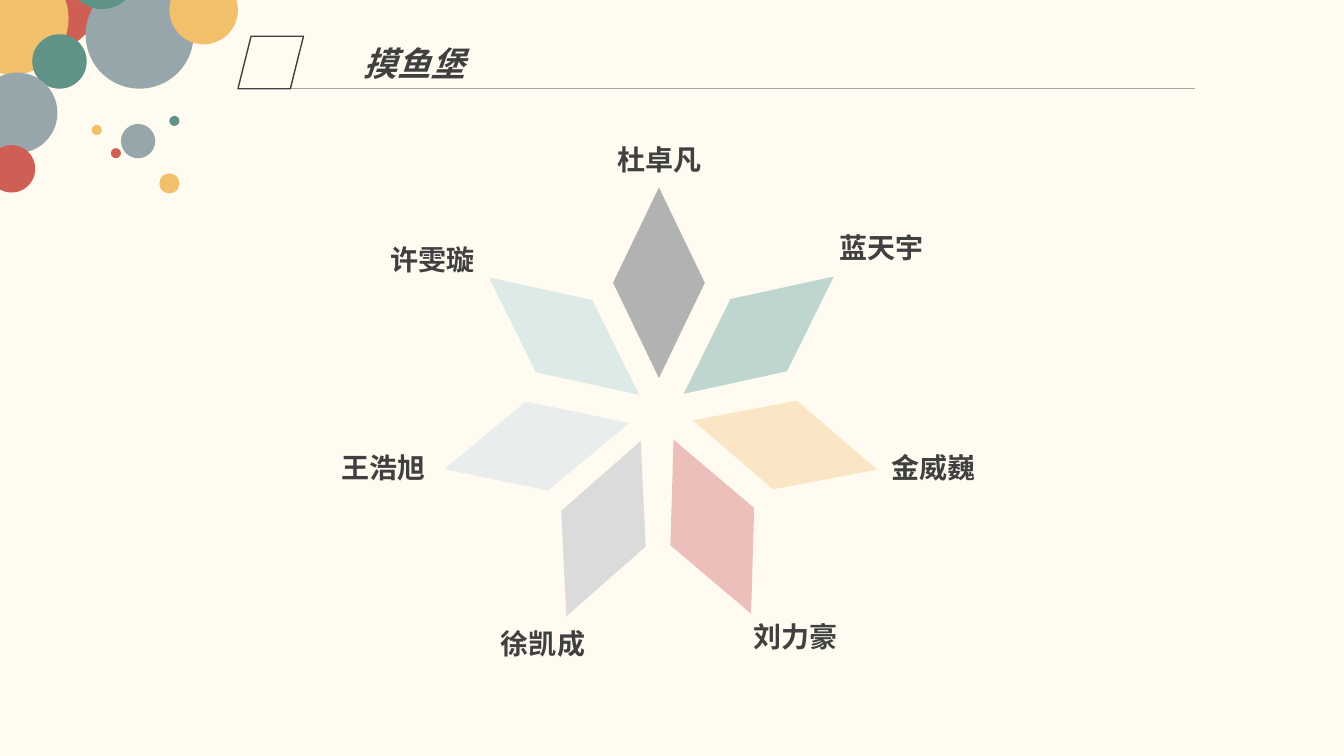
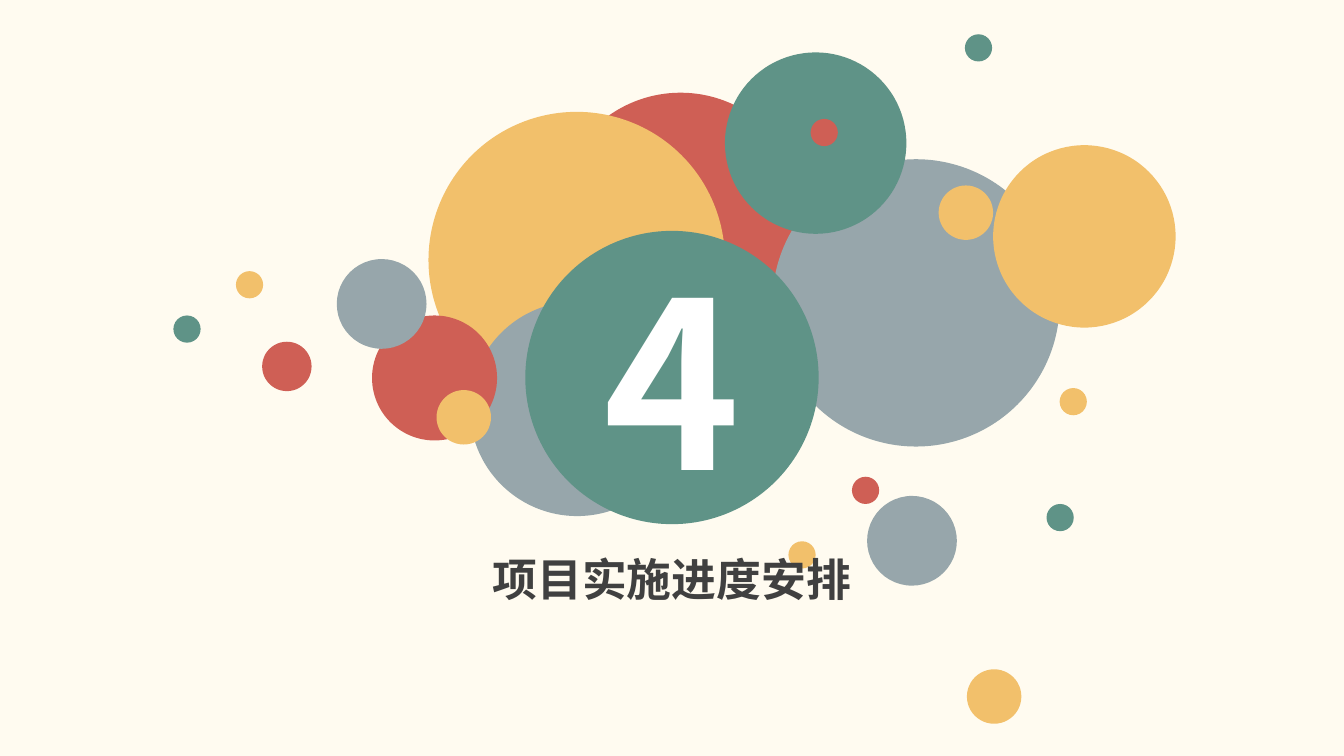
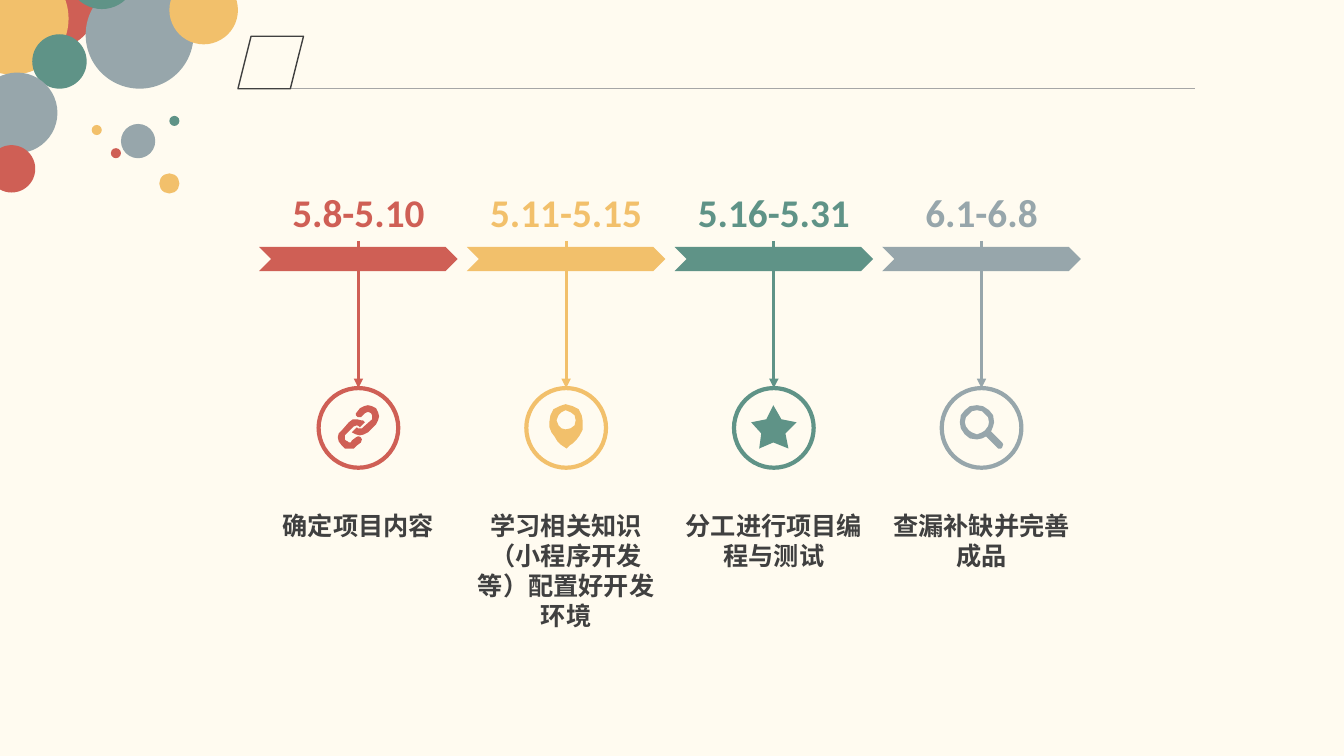
from dataclasses import dataclass
from typing import NamedTuple

from lxml.etree import SubElement
from pptx import Presentation
from pptx.dml.color import RGBColor
from pptx.enum.shapes import MSO_CONNECTOR, MSO_SHAPE
from pptx.enum.text import MSO_ANCHOR, MSO_AUTO_SIZE, PP_ALIGN
from pptx.oxml.ns import qn
from pptx.util import Inches, Pt

COLORS = {
    "cream": "FFFBF0", "ink": "404040", "rule": "A6A6A6", "white": "FFFFFF",
    "red": "CF5F55", "yellow": "F2C06B", "green": "5F9387", "gray": "97A6AB",
    "dark": "B2B2B2", "mint": "BED5D0", "sand": "FAE6C4", "pink": "ECBFBB",
    "silver": "DBDBDB", "mist": "EAEDEE", "ice": "DEEAE7",
}
BODY_FONT, HEAD_FONT = "Calibri", "Noto Sans CJK SC"
TITLE_ONLY, BLANK = 5, 6


class Circle(NamedTuple):
    left: float
    top: float
    size: float
    color: str


@dataclass
class Petal:
    left: float
    top: float
    rotation: int
    color: str
    name: str
    name_left: float
    name_top: float


@dataclass
class Step:
    dates: str
    task: str
    color: str
    icon: list  # contours, in hundredths of an inch


CORNER_CIRCLES = [
    Circle(0.04, -0.44, 0.93, "red"), Circle(-0.43, -0.37, 1.11, "yellow"),
    Circle(0.32, 0.34, 0.54, "green"), Circle(-0.23, 0.72, 0.8, "gray"),
    Circle(0.85, -0.19, 1.07, "gray"), Circle(0.67, -0.59, 0.68, "green"),
    Circle(-0.12, 1.44, 0.47, "red"), Circle(1.2, 1.23, 0.34, "gray"),
    Circle(1.1, 1.47, 0.1, "red"), Circle(0.91, 1.24, 0.1, "yellow"),
    Circle(1.68, 1.15, 0.1, "green"), Circle(1.58, 1.72, 0.2, "yellow"),
    Circle(1.68, -0.24, 0.68, "yellow"),
]

SECTION_CIRCLES = [
    Circle(5.52, 0.92, 2.46, "red"), Circle(4.25, 1.11, 2.94, "yellow"),
    Circle(4.66, 2.99, 2.13, "gray"), Circle(7.66, 1.58, 2.85, "gray"),
    Circle(7.19, 0.52, 1.8, "green"), Circle(3.69, 3.13, 1.24, "red"),
    Circle(8.6, 4.92, 0.89, "gray"), Circle(8.45, 4.73, 0.27, "red"),
    Circle(7.82, 5.37, 0.27, "yellow"), Circle(10.38, 5, 0.27, "green"),
    Circle(9.59, 6.64, 0.54, "yellow"), Circle(9.85, 1.44, 1.81, "yellow"),
    Circle(3.34, 2.57, 0.89, "gray"), Circle(2.6, 3.39, 0.49, "red"),
    Circle(2.34, 2.69, 0.27, "yellow"), Circle(1.72, 3.13, 0.27, "green"),
    Circle(4.33, 3.87, 0.54, "yellow"), Circle(8.04, 1.18, 0.27, "red"),
    Circle(10.51, 3.85, 0.27, "yellow"), Circle(9.57, 0.34, 0.27, "green"),
    Circle(9.31, 1.84, 0.54, "yellow"),
]

PETALS = [
    Petal(6.08, 1.86, 180, "dark", "杜卓凡", 6.03, 1.36),
    Petal(7.07, 2.38, 232, "mint", "蓝天宇", 8.23, 2.24),
    Petal(7.33, 3.47, 105, "sand", "金威巍", 8.74, 4.42),
    Petal(6.61, 4.28, 156, "pink", "刘力豪", 7.37, 6.1),
    Petal(5.53, 4.3, 203, "silver", "徐凯成", 4.87, 6.17),
    Petal(4.87, 3.48, 256, "mist", "王浩旭", 3.29, 4.42),
    Petal(5.14, 2.39, 128, "ice", "许雯璇", 3.77, 2.36),
]

LINK = [
    [(354, 416), (358, 417), (360, 417), (362, 419), (357, 424), (356, 423),
     (354, 422), (351, 423), (343, 431), (342, 432), (342, 436), (343, 437),
     (345, 438), (346, 439), (348, 439), (349, 437), (353, 434), (355, 433),
     (356, 433), (358, 434), (359, 436), (358, 439), (354, 442), (351, 445),
     (347, 445), (342, 445), (339, 442), (336, 438), (335, 434), (336, 430),
     (339, 427), (346, 419), (350, 416)],
    [(365, 402), (369, 403), (373, 405), (375, 409), (376, 413), (375, 417),
     (373, 421), (365, 429), (361, 431), (357, 432), (353, 431), (349, 429),
     (354, 424), (355, 425), (359, 425), (360, 424), (368, 417), (369, 416),
     (369, 412), (368, 410), (366, 409), (364, 409), (362, 410), (359, 413),
     (358, 414), (355, 414), (353, 412), (353, 410), (354, 409), (357, 405),
     (361, 403)],
]
PIN = [
    [(561, 407), (557, 409), (554, 412), (552, 417), (554, 422), (557, 425),
     (561, 426), (566, 425), (570, 422), (571, 417), (570, 412), (566, 409)],
    [(561, 401), (568, 403), (574, 406), (577, 412), (578, 418), (578, 426),
     (575, 432), (572, 436), (568, 440), (565, 442), (562, 445), (559, 443),
     (556, 441), (553, 438), (550, 433), (547, 429), (545, 424), (545, 418),
     (546, 412), (549, 406), (555, 403)],
]
STAR = [
    [(767, 402), (775, 416), (790, 419), (779, 430), (782, 445), (767, 439),
     (753, 445), (755, 430), (745, 419), (760, 416)],
]
MAGNIFIER = [
    [(969, 407), (964, 408), (961, 411), (958, 414), (957, 419), (958, 423),
     (961, 427), (964, 429), (969, 431), (974, 429), (977, 427), (980, 423),
     (981, 419), (980, 414), (977, 411), (974, 408)],
    [(969, 402), (975, 403), (981, 407), (985, 412), (986, 419), (985, 423),
     (983, 428), (994, 439), (995, 441), (994, 444), (993, 445), (990, 445),
     (989, 444), (978, 433), (974, 435), (969, 436), (962, 435), (957, 431),
     (953, 425), (952, 419), (953, 412), (957, 407), (962, 403)],
]

STEPS = [
    Step("5.8-5.10", "确定项目内容", "red", LINK),
    Step("5.11-5.15", "学习相关知识（小程序开发等）配置好开发环境", "yellow", PIN),
    Step("5.16-5.31", "分工进行项目编程与测试", "green", STAR),
    Step("6.1-6.8", "查漏补缺并完善成品", "gray", MAGNIFIER),
]


def rgb(name: str) -> RGBColor:
    return RGBColor.from_string(COLORS[name])


def place(sp, left: float, top: float, width: float, height: float) -> None:
    sp.left, sp.top = Inches(left), Inches(top)
    sp.width, sp.height = Inches(width), Inches(height)


def paint(sp, fill: str = "", line: str = "", weight: float = 1) -> None:
    sp.shadow.inherit = False
    if fill:
        sp.fill.solid()
        sp.fill.fore_color.rgb = rgb(fill)
    else:
        sp.fill.background()
    if line:
        sp.line.color.rgb = rgb(line)
        sp.line.width = Pt(weight)
    else:
        sp.line.fill.background()


def add_shape(shapes, kind, left: float, top: float, width: float, height: float,
              fill: str = "", line: str = "", weight: float = 1):
    sp = shapes.add_shape(kind, Inches(left), Inches(top), Inches(width), Inches(height))
    paint(sp, fill, line, weight)
    return sp


def add_circle(shapes, circle: Circle):
    return add_shape(shapes, MSO_SHAPE.OVAL, circle.left, circle.top,
                     circle.size, circle.size, circle.color)


def write(sp, text: str, size: float, color: str = "ink", font: str = BODY_FONT,
          align=PP_ALIGN.LEFT, anchor=MSO_ANCHOR.TOP, italic: bool = False) -> None:
    tf = sp.text_frame
    tf.word_wrap, tf.auto_size, tf.vertical_anchor = True, MSO_AUTO_SIZE.NONE, anchor
    p = tf.paragraphs[0]
    p.text, p.alignment = text, align
    p.font.size, p.font.bold, p.font.italic = Pt(size), True, italic
    p.font.color.rgb = rgb(color)
    p.font.name = font
    # East Asian face
    SubElement(p._p.pPr.find(qn("a:defRPr")), qn("a:ea")).set("typeface", BODY_FONT)


def add_label(s, text: str, left: float, top: float, width: float, height: float,
              size: float, color: str = "ink", align=PP_ALIGN.LEFT) -> None:
    sp = s.shapes.add_textbox(Inches(left), Inches(top), Inches(width), Inches(height))
    write(sp, text, size, color, align=align)


def add_line(s, x1: float, y1: float, x2: float, y2: float, color: str, weight: float):
    line = s.shapes.add_connector(MSO_CONNECTOR.STRAIGHT, Inches(x1), Inches(y1),
                                  Inches(x2), Inches(y2))
    line.line.color.rgb = rgb(color)
    line.line.width = Pt(weight)
    SubElement(line._element.spPr, qn("a:effectLst"))
    return line


def add_icon(s, contours: list, color: str) -> None:
    builder = None
    for start, *rest in contours:
        if builder is None:
            builder = s.shapes.build_freeform(*start, scale=Inches(0.01))
        else:
            builder.move_to(*start)
        builder.add_line_segments(rest, close=True)
    paint(builder.convert_to_shape(), color)


def add_header(s) -> None:
    """Corner bubbles, title rule and slanted frame of a content slide."""
    group = s.shapes.add_group_shape()
    for circle in CORNER_CIRCLES:
        add_circle(group.shapes, circle)
    add_line(s, 2.84, 0.88, 11.85, 0.88, "rule", 0.5)
    add_shape(s.shapes, MSO_SHAPE.PARALLELOGRAM, 2.36, 0.36, 0.65, 0.52, line="ink")


def build_team(prs) -> None:
    s = prs.slides.add_slide(prs.slide_layouts[TITLE_ONLY])
    add_header(s)
    place(s.shapes.title, 3.51, 0.38, 5.13, 0.5)
    write(s.shapes.title, "摸鱼堡", 24, font=HEAD_FONT, italic=True)
    for petal in PETALS:
        sp = add_shape(s.shapes, MSO_SHAPE.DIAMOND, petal.left, petal.top, 0.91, 1.89,
                       petal.color)
        sp.rotation = petal.rotation
        add_label(s, petal.name, petal.name_left, petal.name_top, 2.12, 0.44, 20)


def build_section(prs) -> None:
    s = prs.slides.add_slide(prs.slide_layouts[TITLE_ONLY])
    for circle in SECTION_CIRCLES:
        add_circle(s.shapes, circle)
    number = add_circle(s.shapes, Circle(5.21, 2.29, 2.91, "green"))
    write(number, "4", 166, "white", HEAD_FONT, PP_ALIGN.CENTER, MSO_ANCHOR.MIDDLE)
    title = s.shapes.title
    place(title, 3.65, 5.42, 6.03, 0.64)
    write(title, "项目实施进度安排", 32, font=HEAD_FONT, align=PP_ALIGN.CENTER)
    s.shapes._spTree.append(title._element)  # bring the title in front of the bubbles


def build_schedule(prs) -> None:
    s = prs.slides.add_slide(prs.slide_layouts[BLANK])
    first_left, pitch, width, ring_size = 2.57, 2.06, 1.97, 0.79
    for i, step in enumerate(STEPS):
        left = first_left + i * pitch
        center = left + width / 2
        add_shape(s.shapes, MSO_SHAPE.CHEVRON, left, 2.45, width, 0.24, step.color)
        add_label(s, step.dates, left, 1.82, width, 0.57, 28, step.color, PP_ALIGN.CENTER)
        add_label(s, step.task, left, 5.01, width, 1.01, 18, align=PP_ALIGN.CENTER)
        ring = add_shape(s.shapes, MSO_SHAPE.OVAL, center - ring_size / 2, 3.85,
                         ring_size, ring_size, line=step.color, weight=3)
        arrow = add_line(s, center, 2.39, center, 3.85, step.color, 2.25)
        arrow.end_connect(ring, 0)
        SubElement(arrow.line._get_or_add_ln(), qn("a:tailEnd")).set("type", "triangle")
        add_icon(s, step.icon, step.color)
    add_header(s)


def main() -> None:
    prs = Presentation()
    prs.slide_width, prs.slide_height = Inches(13.33), Inches(7.5)
    background = prs.slide_master.background.fill
    background.solid()
    background.fore_color.rgb = rgb("cream")
    build_team(prs)
    build_section(prs)
    build_schedule(prs)
    prs.save("out.pptx")


if __name__ == "__main__":
    main()
